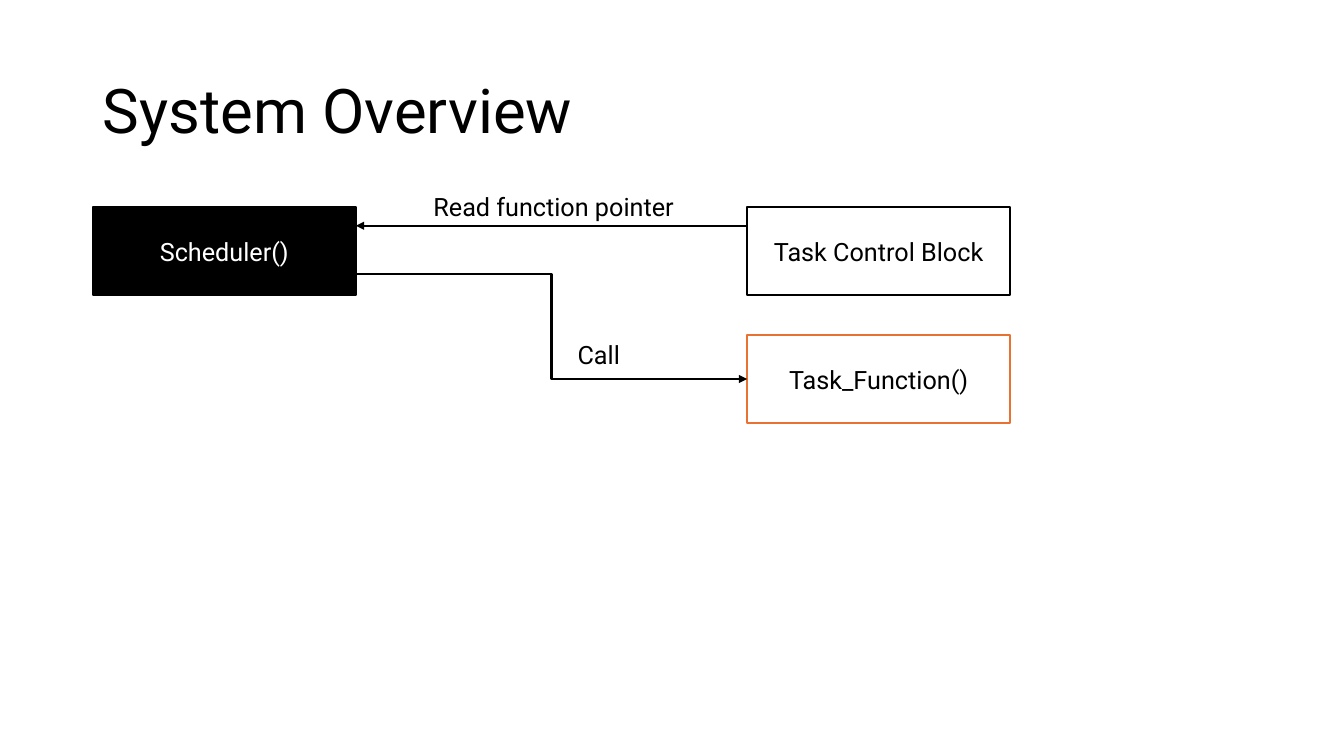
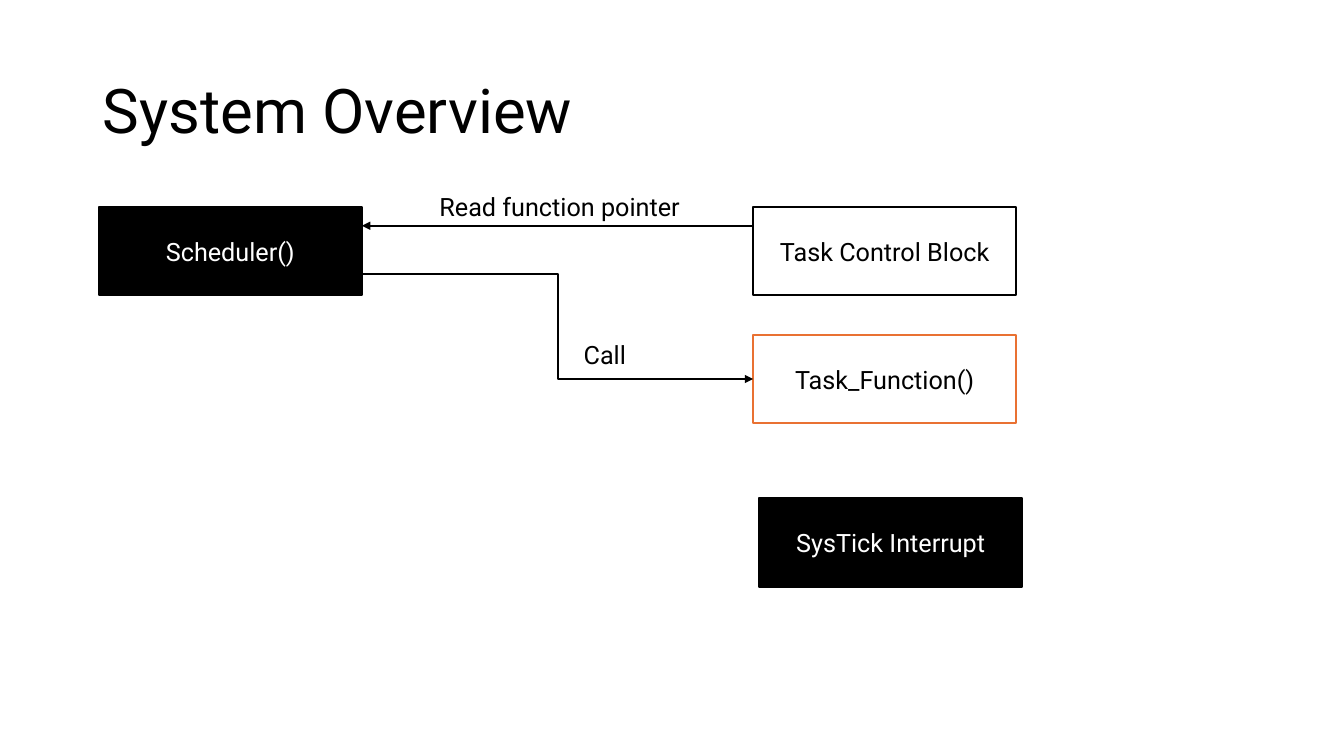
"""Build two slides that show how a scheduler calls its task functions."""
from lxml import etree
from pptx import Presentation, util as u
from pptx.dml.color import RGBColor
from pptx.enum import shapes, text
from pptx.oxml.ns import qn

BLACK = RGBColor(0x00, 0x00, 0x00)
WHITE = RGBColor(0xFF, 0xFF, 0xFF)
ORANGE = RGBColor(0xE9, 0x71, 0x32)
FONT = "Roboto"
LINE_WIDTH = u.Pt(1.5)

TITLE = "System Overview"
TITLE_AREA = (0.92, 0.4, 11.5, 1.45)
BOX_WIDTH, BOX_HEIGHT = 2.61, 0.88
COLUMN_STEP = 6.49
TOP_ROW, FUNCTION_ROW, INTERRUPT_ROW = 2.05, 3.32, 4.94
READ_LINE, CALL_LINE = 2.24, 2.72
LABEL_HEIGHT = 0.4

BOXES = [
    ("Scheduler()", 0, TOP_ROW, BLACK, BLACK, WHITE),
    ("Task Control Block", COLUMN_STEP, TOP_ROW, WHITE, BLACK, BLACK),
    ("Task_Function()", COLUMN_STEP, FUNCTION_ROW, WHITE, ORANGE, BLACK),
]
INTERRUPT = ("SysTick Interrupt", COLUMN_STEP + 0.06, INTERRUPT_ROW, BLACK, BLACK, WHITE)
LABELS = [
    ("Read function pointer", 3.28, 1.85, 2.81),
    ("Call", 4.71, FUNCTION_ROW, 0.72),
]
ARROWS = [
    (shapes.MSO_CONNECTOR.STRAIGHT, (COLUMN_STEP, READ_LINE), (BOX_WIDTH, READ_LINE)),
    (shapes.MSO_CONNECTOR.ELBOW, (BOX_WIDTH, CALL_LINE),
     (COLUMN_STEP, FUNCTION_ROW + BOX_HEIGHT / 2)),
]
SLIDES = [(0.92, BOXES), (0.98, BOXES + [INTERRUPT])]


def inches(*lengths):
    return [u.Inches(length) for length in lengths]


def write(shape, content, size=18, color=BLACK, align=text.PP_ALIGN.LEFT,
          anchor=text.MSO_ANCHOR.MIDDLE, spacing=None):
    frame = shape.text_frame
    frame.text = content
    frame.word_wrap = True
    frame.auto_size = text.MSO_AUTO_SIZE.NONE
    frame.vertical_anchor = anchor
    paragraph = frame.paragraphs[0]
    paragraph.alignment = align
    paragraph.line_spacing = spacing
    font = paragraph.runs[0].font
    font.name, font.size = FONT, u.Pt(size)
    font.color.rgb = color


def add_title(slide):
    title = slide.shapes.title
    title.left, title.top, title.width, title.height = inches(*TITLE_AREA)
    write(title, TITLE, size=44, spacing=0.9)


def add_box(slide, left, top, name, fill, outline, color):
    box = slide.shapes.add_shape(shapes.MSO_SHAPE.RECTANGLE,
                                 *inches(left, top, BOX_WIDTH, BOX_HEIGHT))
    box.shadow.inherit = False
    box.fill.solid()
    box.fill.fore_color.rgb = fill
    box.line.color.rgb = outline
    box.line.width = LINE_WIDTH
    write(box, name, color=color, align=text.PP_ALIGN.CENTER)


def add_arrow(slide, kind, start, end):
    arrow = slide.shapes.add_connector(kind, *inches(*start, *end))
    arrow.line.color.rgb = BLACK
    arrow.line.width = LINE_WIDTH
    etree.SubElement(arrow.line._get_or_add_ln(), qn("a:tailEnd"), type="triangle")
    etree.SubElement(arrow._element.spPr, qn("a:effectLst"))


def add_diagram(slide, margin, boxes):
    for name, offset, top, fill, outline, color in boxes:
        add_box(slide, margin + offset, top, name, fill, outline, color)
    for kind, (start_x, start_y), (end_x, end_y) in ARROWS:
        add_arrow(slide, kind, (margin + start_x, start_y), (margin + end_x, end_y))
    for content, offset, top, width in LABELS:
        label = slide.shapes.add_textbox(*inches(margin + offset, top, width, LABEL_HEIGHT))
        write(label, content, anchor=text.MSO_ANCHOR.TOP)


def main():
    presentation = Presentation()
    presentation.slide_width, presentation.slide_height = inches(13.33, 7.5)
    title_only = presentation.slide_layouts[5]
    for margin, boxes in SLIDES:
        slide = presentation.slides.add_slide(title_only)
        add_title(slide)
        add_diagram(slide, margin, boxes)
    presentation.save("out.pptx")


if __name__ == "__main__":
    main()
